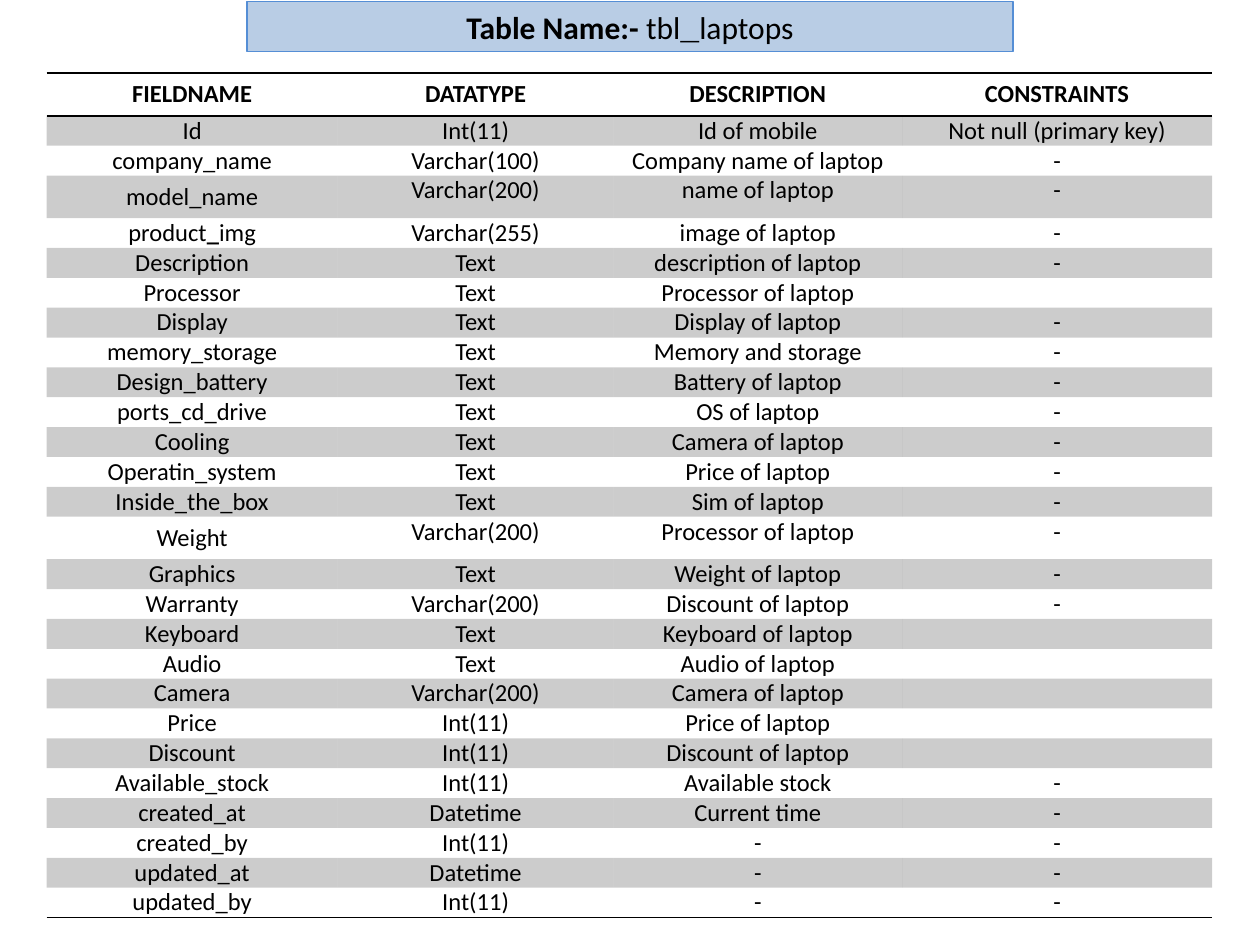
"""Build a slide that lists the fields of the laptop table."""
import lxml.etree
import pptx
import pptx.dml.color
import pptx.enum.text
import pptx.oxml.ns
import pptx.util

Inches, Pt = pptx.util.Inches, pptx.util.Pt
MID = pptx.enum.text.PP_ALIGN.CENTER

THEME = {
    "font": "Calibri", "mono": "Courier New", "head": 18, "body": 14,
    "ink": "000000", "band": "B9CDE5", "edge": "558ED5", "shade": 20,
    "plain": "{2D5ABB26-0587-4C30-8999-92F81FD0307C}",
}
TITLE = [("Table Name:- ", True, "font"), ("tbl", False, "font"),
         ("_", True, "mono"), ("laptops", False, "font")]
WIDTHS = [2.31, 2.19, 2.29, 2.46]
HEAD = ("FIELDNAME", "DATATYPE", "DESCRIPTION", "CONSTRAINTS")
FIELDS = [
    ("Id", "Int(11)", "Id of mobile", "Not null (primary key)"),
    ("company_name", "Varchar(100)", "Company name of laptop", "-"),
    ("model_name", "Varchar(200)", "name of laptop", "-"),
    ("product_img", "Varchar(255)", "image of laptop", "-"),
    ("Description", "Text", "description of laptop", "-"),
    ("Processor", "Text", "Processor of laptop", ""),
    ("Display", "Text", "Display of laptop", "-"),
    ("memory_storage", "Text", "Memory and storage", "-"),
    ("Design_battery", "Text", "Battery of laptop", "-"),
    ("ports_cd_drive", "Text", "OS of laptop", "-"),
    ("Cooling", "Text", "Camera of laptop", "-"),
    ("Operatin_system", "Text", "Price of laptop", "-"),
    ("Inside_the_box", "Text", "Sim of laptop", "-"),
    ("Weight", "Varchar(200)", "Processor of laptop", "-"),
    ("Graphics", "Text", "Weight of laptop", "-"),
    ("Warranty", "Varchar(200)", "Discount of laptop", "-"),
    ("Keyboard", "Text", "Keyboard of laptop", ""),
    ("Audio", "Text", "Audio of laptop", ""),
    ("Camera", "Varchar(200)", "Camera of laptop", ""),
    ("Price", "Int(11)", "Price of laptop", ""),
    ("Discount", "Int(11)", "Discount of laptop", ""),
    ("Available_stock", "Int(11)", "Available stock", "-"),
    ("created_at", "Datetime", "Current time", "-"),
    ("created_by", "Int(11)", "-", "-"),
    ("updated_at", "Datetime", "-", "-"),
    ("updated_by", "Int(11)", "-", "-"),
]
SPLITS = {"product_img": [("product", False), ("_", True), ("img", False)]}
TALL = {"model_name", "Weight"}


def color(name):
    return pptx.dml.color.RGBColor.from_string(THEME[name])


def add_node(parent, tag, **attrs):
    return lxml.etree.SubElement(parent, pptx.oxml.ns.qn(tag), **attrs)


def add_run(para, text, bold, size, face="font"):
    run = para.add_run()
    run.text = text
    run.font.name, run.font.size = THEME[face], Pt(THEME[size])
    run.font.bold = bold
    run.font.color.rgb = color("ink")


def add_title(slide):
    title = slide.shapes.title
    title.left, title.top = Inches(1.96), Inches(0.01)
    title.width, title.height = Inches(6.08), Inches(0.4)
    title.fill.solid()
    title.fill.fore_color.rgb = color("band")
    title.line.color.rgb = color("edge")
    title.line.width = Pt(0.75)
    frame = title.text_frame
    frame.auto_size = pptx.enum.text.MSO_AUTO_SIZE.NONE
    frame.vertical_anchor = pptx.enum.text.MSO_ANCHOR.MIDDLE
    para = frame.paragraphs[0]
    para.alignment = MID
    for text, bold, face in TITLE:
        add_run(para, text, bold, "head", face)


def add_rule(cell, side):
    line = add_node(cell._tc.get_or_add_tcPr(), side, w=str(Pt(1)))
    add_node(add_node(line, "a:solidFill"), "a:srgbClr", val=THEME["ink"])


def set_fill(cell, shaded):
    if not shaded:
        cell.fill.background()
        return
    cell.fill.solid()
    cell.fill.fore_color.rgb = color("ink")
    tint = cell._tc.tcPr.find(".//" + pptx.oxml.ns.qn("a:srgbClr"))
    add_node(tint, "a:alpha", val=str(THEME["shade"] * 1000))


def fill_cell(cell, text, row, last):
    para = cell.text_frame.paragraphs[0]
    para.alignment = MID
    for part, bold in SPLITS.get(text, [(text, row == 0)]):
        if part:
            add_run(para, part, bold, "body")
    if not text:
        add_node(para._p, "a:endParaRPr", sz=str(THEME["body"] * 100))
    if row and text not in TALL:
        cell.margin_left = cell.margin_right = Inches(0.07)
        cell.margin_top = cell.margin_bottom = 0
    if row == 0:
        add_rule(cell, "a:lnT")
    if row in (0, last):
        add_rule(cell, "a:lnB")
    set_fill(cell, row % 2 == 1)


def add_fields(slide):
    rows = [HEAD] + FIELDS
    frame = slide.shapes.add_table(
        len(rows), len(HEAD), Inches(0.37), Inches(0.58), Inches(9.26), Inches(6.61))
    table = frame.table
    table.first_row = table.horz_banding = False
    table._tbl.tblPr[0].text = THEME["plain"]
    for col, width in zip(table.columns, WIDTHS):
        col.width = Inches(width)
    for num, texts in enumerate(rows):
        tall = 0.34 if num == 0 else 0.26 if texts[0] in TALL else 0.18
        table.rows[num].height = Inches(tall)
        for cell, text in zip(table.rows[num].cells, texts):
            fill_cell(cell, text, num, len(rows) - 1)


def main():
    deck = pptx.Presentation()
    deck.slide_width, deck.slide_height = Inches(10), Inches(7.5)
    slide = deck.slides.add_slide(deck.slide_layouts[5])
    add_fields(slide)
    add_title(slide)
    deck.save("out.pptx")


if __name__ == "__main__":
    main()
